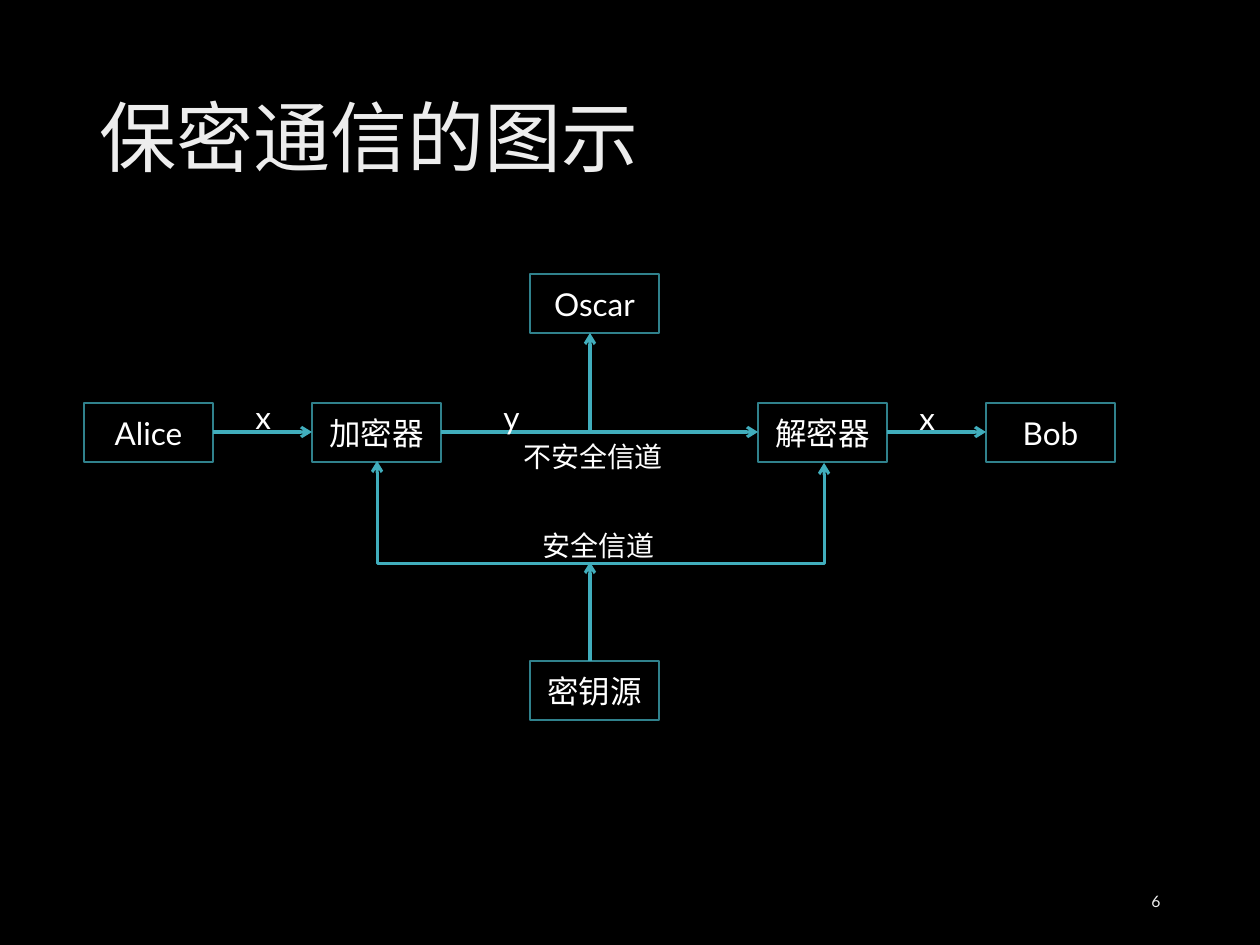
import pptx
import pptx.util
import pptx.dml.color
import pptx.enum.shapes
import pptx.enum.text
import pptx.oxml
import pptx.oxml.ns
from lxml import etree

SCALE = 914400 / 126
FONT = "Lato"
WHITE, EDGE, ARROW = "FFFFFF", "30818C", "41AEBD"
ALIGN = pptx.enum.text.PP_ALIGN
ANCHOR = pptx.enum.text.MSO_ANCHOR
NODE_WIDTH, NODE_HEIGHT = 129, 59
qn = pptx.oxml.ns.qn


def px(*lengths):
    return [pptx.util.Emu(round(length * SCALE)) for length in lengths]


def color(value):
    return pptx.dml.color.RGBColor.from_string(value)


def fade(span, stops, angle):
    """Fill the letters with a linear gradient."""
    span.font.fill.gradient()
    gradient = span.font.fill._xPr.find(qn("a:gradFill"))
    stop_list = gradient.find(qn("a:gsLst"))
    for stop in list(stop_list):
        stop_list.remove(stop)
    for position, value in stops:
        stop = etree.SubElement(stop_list, qn("a:gs"), pos=str(position * 1000))
        etree.SubElement(stop, qn("a:srgbClr"), val=value)
    gradient.find(qn("a:lin")).set("ang", str(angle * 60000))


def write(shape, text, size=18, align=ALIGN.LEFT, anchor=ANCHOR.TOP,
          spacing=None, fill=WHITE, stops=None, angle=90):
    frame = shape.text_frame
    frame.word_wrap = True
    frame.auto_size = pptx.enum.text.MSO_AUTO_SIZE.NONE
    frame.vertical_anchor = anchor
    para = frame.paragraphs[0]
    para.alignment = align
    if spacing:
        para.line_spacing = spacing
    span = para.add_run()
    span.text = text
    span.font.size = pptx.util.Pt(size)
    span.font.name = FONT
    if stops:
        fade(span, stops, angle)
    else:
        span.font.color.rgb = color(fill)


def add_label(page, box, text, **style):
    write(page.shapes.add_textbox(*px(*box)), text, **style)


def add_node(page, left, top, text):
    node = page.shapes.add_shape(pptx.enum.shapes.MSO_SHAPE.RECTANGLE,
                                 *px(left, top, NODE_WIDTH, NODE_HEIGHT))
    node.shadow.inherit = False
    node.fill.background()
    node.line.color.rgb = color(EDGE)
    node.line.width = pptx.util.Pt(1)
    write(node, text, align=ALIGN.CENTER, anchor=ANCHOR.MIDDLE)


def add_arrow(page, start, end, kind="STRAIGHT", ends=("tailEnd",)):
    arrow = page.shapes.add_connector(
        getattr(pptx.enum.shapes.MSO_CONNECTOR, kind), *px(*start, *end))
    arrow.line.color.rgb = color(ARROW)
    arrow.line.width = pptx.util.Pt(1.75)
    properties = arrow.element.spPr
    for name in ends:
        etree.SubElement(properties.find(qn("a:ln")), qn("a:" + name), type="arrow")
    etree.SubElement(properties, qn("a:effectLst"))
    return arrow


def add_bus(page, start, end, depth):
    """A U-shaped elbow: an upright connector turned by 270 degrees."""
    span, drop = end[0] - start[0], end[1] - start[1]
    middle_x, middle_y = (start[0] + end[0]) / 2, (start[1] + end[1]) / 2
    bus = add_arrow(page, (middle_x + drop / 2, middle_y - span / 2),
                    (middle_x - drop / 2, middle_y + span / 2),
                    "ELBOW", ("headEnd", "tailEnd"))
    properties = bus.element.spPr
    properties.find(qn("a:xfrm")).set("rot", str(270 * 60000))
    guides = properties.find(qn("a:prstGeom")).find(qn("a:avLst"))
    etree.SubElement(guides, qn("a:gd"), name="adj1",
                     fmla=f"val {round(depth / drop * 100000)}")


def add_title(page, box, text):
    title = page.shapes.title
    title.left, title.top, title.width, title.height = px(*box)
    write(title, text, size=44, anchor=ANCHOR.MIDDLE, spacing=0.9, angle=80,
          stops=[(0, "BFBFBF"), (28, "EDEDED"), (100, WHITE)])


def add_diagram(page, left, top):
    def at(x, y):
        return left + x, top + y

    # Parties and devices
    row, wire = 129, 158
    alice, encoder, center, decoder, bob = 0, 228, 446, 674, 902
    for x, y, text in [(alice, row, "Alice"), (decoder, row, "解密器"),
                       (center, 0, "Oscar"), (encoder, row, "加密器"),
                       (bob, row, "Bob"), (center, 387, "密钥源")]:
        add_node(page, *at(x, y), text)

    # Message path
    for source, target in [(alice, encoder), (encoder, decoder), (decoder, bob)]:
        add_arrow(page, at(source + NODE_WIDTH, wire), at(target, wire))

    # Key channel, eavesdropper and key source
    add_bus(page, at(293, 187), at(740, 189), 103)
    for begin, end in [(wire, NODE_HEIGHT), (387, 288)]:
        add_arrow(page, at(506, begin), at(506, end))

    # Labels
    for x, y, width, height, text, size in [
            (159, 118, 49, 50, "x", 18), (407, 118, 49, 50, "y", 18),
            (823, 119, 49, 50, "x", 18), (427, 159, 179, 47, "不安全信道", 16),
            (446, 248, 149, 47, "安全信道", 16)]:
        add_label(page, (*at(x, y), width, height), text, size=size)


deck = pptx.Presentation()
deck.slide_width, deck.slide_height = px(1260, 945)
page = deck.slides.add_slide(deck.slide_layouts[5])
page.background.fill.solid()
page.background.fill.fore_color.rgb = color("000000")

add_title(page, (87, 50, 1086, 183), "保密通信的图示")
add_label(page, (890, 876, 283, 50), "6", size=9, align=ALIGN.RIGHT,
          anchor=ANCHOR.MIDDLE,
          stops=[(0, "9E9E9E"), (28, "EDEDED"), (100, WHITE)])
add_diagram(page, 84, 274)

deck.save("out.pptx")
